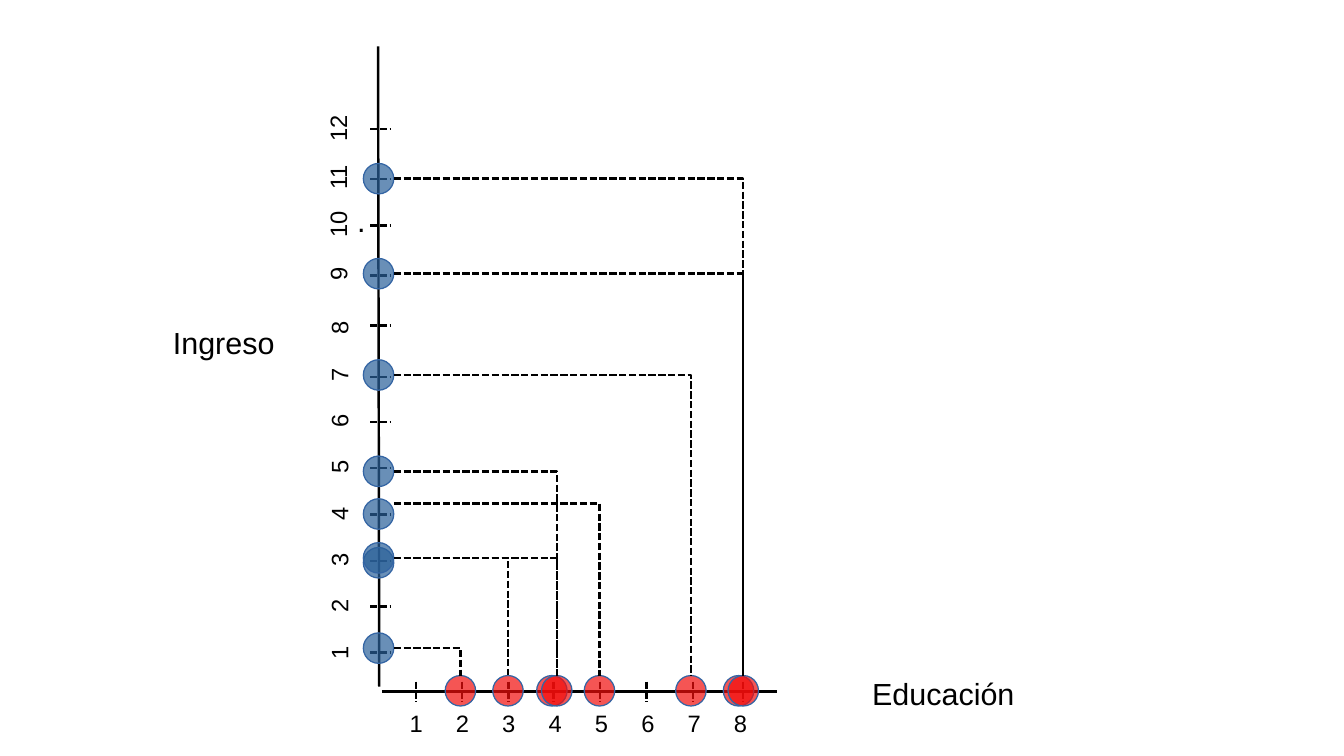
from dataclasses import dataclass

from lxml.etree import SubElement
from pptx import Presentation
from pptx.dml.color import RGBColor
from pptx.enum.dml import MSO_LINE as Dash
from pptx.enum.shapes import MSO_CONNECTOR as Connector, MSO_SHAPE as Preset
from pptx.enum.text import PP_ALIGN as Align
from pptx.oxml.ns import qn
from pptx.util import Pt

COLORS = {
    "ink": "000000",
    "education": "F10D0C",
    "income": "2A6099",
    "outline": "3465A4",
}
FONT = "Arial"
LINE_WIDTH = 1.45
MARKER_SIZE = 18
MARKER_OPACITY = 70
VERTICAL = 269.8

EDUCATION_AXIS_Y = 408.2
EDUCATION_MARKER_Y = 407.9
INCOME_MARKER_X = 223.5
LABEL_STEP = 27.36

EDUCATION_TICKS = (245.5, 272.9, 300.2, 326.9, 354.2, 381.6, 409, 438.5)
INCOME_TICKS = (385.2, 358.2, 331.2, 303.8, 276.5, 249.1,
                222.5, 192.2, 162.7, 133.2, 105.8, 76.3)
EDUCATION_VALUES = (271.8, 299.9, 325.8, 328.7, 353.9, 407.9, 436, 438.8)
INCOME_VALUES = (382.7, 332.3, 329.4, 278.3, 303.5, 221.4, 161.6, 105.5)


@dataclass(frozen=True)
class Label:
    text: str
    left: float
    top: float
    width: float = 22.3
    height: float = 23


@dataclass(frozen=True)
class Segment:
    x1: float
    y1: float
    x2: float
    y2: float
    dashed: bool = True


@dataclass(frozen=True)
class Marker:
    x: float
    y: float
    color: str
    rotation: float = 0


@dataclass(frozen=True)
class Guide:
    education: float
    income: float


AXES = (
    Segment(225.4, EDUCATION_AXIS_Y, 458.6, EDUCATION_AXIS_Y, dashed=False),
    Segment(223.9, 405.4, 223.2, 27.4, dashed=False),
)
TICKS = (
    *(Segment(x, 402.5, x, 414.7) for x in EDUCATION_TICKS),
    *(Segment(218.5, y, 230.1, y) for y in INCOME_TICKS),
)
EDUCATION_LABELS = tuple(
    Label(str(value), 234.7 + LABEL_STEP * (value - 1), 414.7)
    for value in range(1, 9)
)
INCOME_LABELS = (
    *(Label(str(value), 188.5, 373.7 - LABEL_STEP * (value - 1))
      for value in range(1, 9)),
    Label("9", 187.9, 149.8),
    *(Label(str(value), 188.2, 110 - 28.4 * (value - 10), 36.7, 38.2)
      for value in range(10, 13)),
)
TITLES = (
    Label("Ingreso", 66.2, 187.9, 131.8, 27.4),
    Label("Educación", 491, 395.3, 131.8, 27.4),
)
MARKERS = (
    *(Marker(x, EDUCATION_MARKER_Y, "education") for x in EDUCATION_VALUES),
    *(Marker(INCOME_MARKER_X, y, "income", VERTICAL) for y in INCOME_VALUES),
)
GUIDES = (
    Guide(271.8, 382.7),
    Guide(299.9, 329.4),
    Guide(328.7, 329.4),
    Guide(328.7, 278.3),
    Guide(353.9, 297.4),
    Guide(407.9, 221.4),
    Guide(438.8, 161.6),
    Guide(438.8, 105.5),
)


def color_of(name: str) -> RGBColor:
    return RGBColor.from_string(COLORS[name])


def style_line(line, dashed: bool) -> None:
    line.color.rgb = color_of("ink")
    line.width = Pt(LINE_WIDTH)
    if dashed:
        line.dash_style = Dash.SQUARE_DOT


def add_text(slide, label: Label, *, size: float = 14, rotation: float = 0,
             align: Align = Align.LEFT) -> None:
    shape = slide.shapes.add_textbox(
        Pt(label.left), Pt(label.top), Pt(label.width), Pt(label.height))
    shape.rotation = rotation
    frame = shape.text_frame
    frame.word_wrap = True
    paragraph = frame.paragraphs[0]
    paragraph.alignment = align
    run = paragraph.add_run()
    run.text = label.text
    run.font.name = FONT
    run.font.size = Pt(size)
    run.font.color.rgb = color_of("ink")


def add_segment(slide, segment: Segment) -> None:
    connector = slide.shapes.add_connector(
        Connector.STRAIGHT, Pt(segment.x1), Pt(segment.y1),
        Pt(segment.x2), Pt(segment.y2))
    style_line(connector.line, segment.dashed)
    SubElement(connector._element.spPr, qn("a:effectLst"))


def add_marker(slide, marker: Marker) -> None:
    radius = MARKER_SIZE / 2
    shape = slide.shapes.add_shape(
        Preset.OVAL, Pt(marker.x - radius), Pt(marker.y - radius),
        Pt(MARKER_SIZE), Pt(MARKER_SIZE))
    shape.rotation = marker.rotation
    shape.shadow.inherit = False
    shape.fill.solid()
    shape.fill.fore_color.rgb = color_of(marker.color)
    fill_color = shape._element.spPr.find(qn("a:solidFill")).find(qn("a:srgbClr"))
    SubElement(fill_color, qn("a:alpha")).set("val", str(MARKER_OPACITY * 1000))
    shape.line.color.rgb = color_of("outline")
    shape.line.width = Pt(0)


def add_guide(slide, guide: Guide) -> None:
    radius = MARKER_SIZE / 2
    builder = slide.shapes.build_freeform(
        Pt(INCOME_MARKER_X + radius), Pt(guide.income))
    builder.add_line_segments(
        [(Pt(guide.education), Pt(guide.income)),
         (Pt(guide.education), Pt(EDUCATION_MARKER_Y - radius))],
        close=False)
    shape = builder.convert_to_shape()
    shape.shadow.inherit = False
    shape.fill.background()
    style_line(shape.line, dashed=True)


def main() -> None:
    presentation = Presentation()
    presentation.slide_width = Pt(793.44)
    presentation.slide_height = Pt(446.4)
    slide = presentation.slides.add_slide(presentation.slide_layouts[6])

    add_text(slide, Label(".", 203.8, 115.9, 25.2, 27.4), size=18)
    for segment in AXES + TICKS:
        add_segment(slide, segment)
    for label in EDUCATION_LABELS:
        add_text(slide, label)
    for label in INCOME_LABELS:
        add_text(slide, label, rotation=VERTICAL)
    for marker in MARKERS:
        add_marker(slide, marker)
    for label in TITLES:
        add_text(slide, label, size=18, align=Align.CENTER)
    for guide in GUIDES:
        add_guide(slide, guide)

    presentation.save("out.pptx")


if __name__ == "__main__":
    main()
